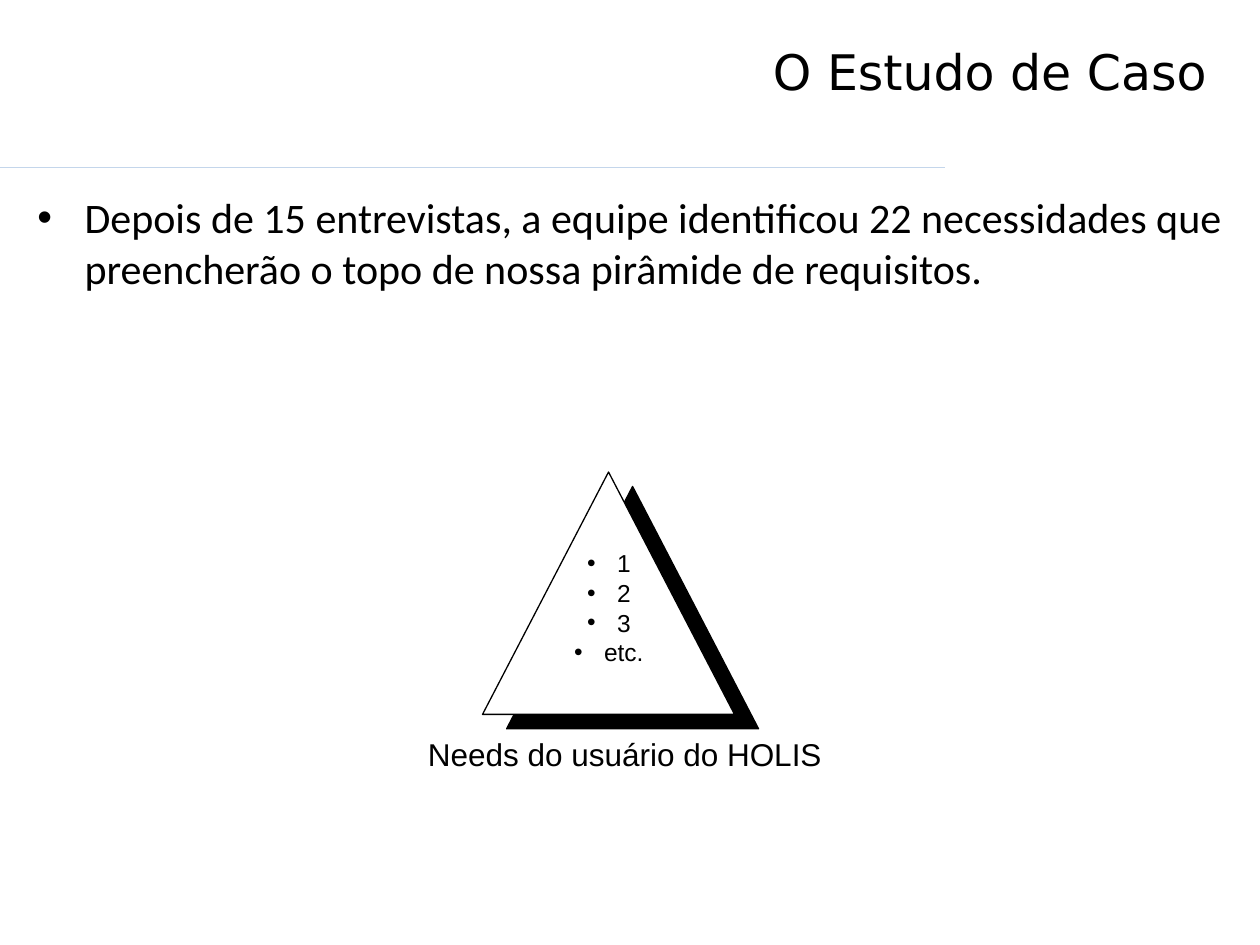
"""Build the case study slide with its requirements pyramid."""
from dataclasses import dataclass
from typing import Optional

from lxml.etree import SubElement
from pptx import Presentation
from pptx.dml.color import RGBColor
from pptx.enum.shapes import MSO_CONNECTOR as Connector, MSO_SHAPE as Shape
from pptx.enum.text import MSO_ANCHOR as Anchor, MSO_AUTO_SIZE as AutoSize, PP_ALIGN as Align
from pptx.oxml.ns import qn
from pptx.util import Pt


@dataclass(frozen=True)
class Theme:
    """Colours, typefaces and type sizes of the slide."""
    ink: RGBColor = RGBColor(0, 0, 0)
    paper: RGBColor = RGBColor(255, 255, 255)
    rule: RGBColor = RGBColor(0xC4, 0xD6, 0xEB)
    title_font: str = "DejaVu Sans"
    body_font: str = "Calibri"
    figure_font: str = "Arial"
    title_size: float = 28
    body_size: float = 24
    caption_size: float = 18
    list_size: float = 14
    line_width: float = 0.75


@dataclass(frozen=True)
class Frame:
    """A rectangle in points."""
    left: float
    top: float
    width: float
    height: float

    def lengths(self) -> tuple:
        """Return the rectangle as slide lengths."""
        return Pt(self.left), Pt(self.top), Pt(self.width), Pt(self.height)


@dataclass(frozen=True)
class Triangle:
    """One face of the pyramid."""
    frame: Frame
    fill: RGBColor


THEME = Theme()
TRIANGLES = (
    Triangle(Frame(289.5, 278, 144, 138.5), THEME.ink),
    Triangle(Frame(275.75, 269.75, 144, 138.5), THEME.paper),
)


def add_bullet(para, hang: float) -> None:
    """Give a paragraph a round bullet with a hanging indent."""
    settings = para._p.get_or_add_pPr()
    settings.set("marL", str(Pt(hang)))
    settings.set("indent", str(-Pt(hang)))
    SubElement(settings, qn("a:buFont")).set("typeface", "Arial")
    SubElement(settings, qn("a:buChar")).set("char", "•")


def write_text(box, text: str, *, font: str, size: float, align: Align = Align.LEFT,
               hang: float = 0, spacing: Optional[float] = None, wrap: bool = True) -> None:
    """Write one formatted paragraph for each line of text."""
    frame = box.text_frame
    frame.word_wrap = wrap
    frame.auto_size = AutoSize.NONE if wrap else AutoSize.SHAPE_TO_FIT_TEXT
    frame.vertical_anchor = Anchor.TOP
    for index, line in enumerate(text.split("\n")):
        para = frame.add_paragraph() if index else frame.paragraphs[0]
        para.alignment = align
        if spacing:
            para.line_spacing = Pt(spacing)
        if hang:
            add_bullet(para, hang)
        span = para.add_run()
        span.text = line
        span.font.name = font
        span.font.size = Pt(size)
        span.font.color.rgb = THEME.ink


def add_triangle(shapes, triangle: Triangle) -> None:
    """Draw one outlined face of the pyramid."""
    face = shapes.add_shape(Shape.ISOSCELES_TRIANGLE, *triangle.frame.lengths())
    face.shadow.inherit = False
    face.fill.solid()
    face.fill.fore_color.rgb = triangle.fill
    face.line.color.rgb = THEME.ink
    face.line.width = Pt(THEME.line_width)


def add_rule(page, top: float, width: float) -> None:
    """Draw the horizontal line under the title."""
    rule = page.shapes.add_connector(Connector.STRAIGHT, 0, Pt(top), Pt(width), Pt(top))
    rule.line.color.rgb = THEME.rule
    rule.line.width = Pt(THEME.line_width)
    SubElement(rule._element.spPr, qn("a:effectLst"))


def add_pyramid(page) -> None:
    """Group the two faces with the list of needs."""
    shapes = page.shapes.add_group_shape().shapes
    for triangle in TRIANGLES:
        add_triangle(shapes, triangle)
    needs = shapes.add_textbox(*Frame(304, 309.5, 88, 84).lengths())
    write_text(needs, "1\n2\n3\netc.", font=THEME.figure_font, size=THEME.list_size,
               align=Align.CENTER, hang=17, spacing=17)


def main() -> None:
    """Build and save the deck."""
    deck = Presentation()
    deck.slide_width, deck.slide_height = Pt(720), Pt(540)
    page = deck.slides.add_slide(deck.slide_layouts[5])
    add_rule(page, 95.75, 540)

    title = page.shapes.title
    title.left, title.top, title.width, title.height = Frame(13, 20, 692.5, 72.5).lengths()
    write_text(title, "O Estudo de Caso ", font=THEME.title_font, size=THEME.title_size,
               align=Align.RIGHT)

    body = page.shapes.add_textbox(*Frame(14.25, 106, 692.25, 374.5).lengths())
    write_text(body, "Depois de 15 entrevistas, a equipe identificou 22 necessidades que "
               "preencherão o topo de nossa pirâmide de requisitos.",
               font=THEME.body_font, size=THEME.body_size, hang=27)

    add_pyramid(page)

    caption = page.shapes.add_textbox(*Frame(236, 416.25, 242, 29).lengths())
    write_text(caption, "Needs do usuário do HOLIS", font=THEME.figure_font,
               size=THEME.caption_size, align=Align.CENTER, wrap=False)
    deck.save("out.pptx")


if __name__ == "__main__":
    main()
